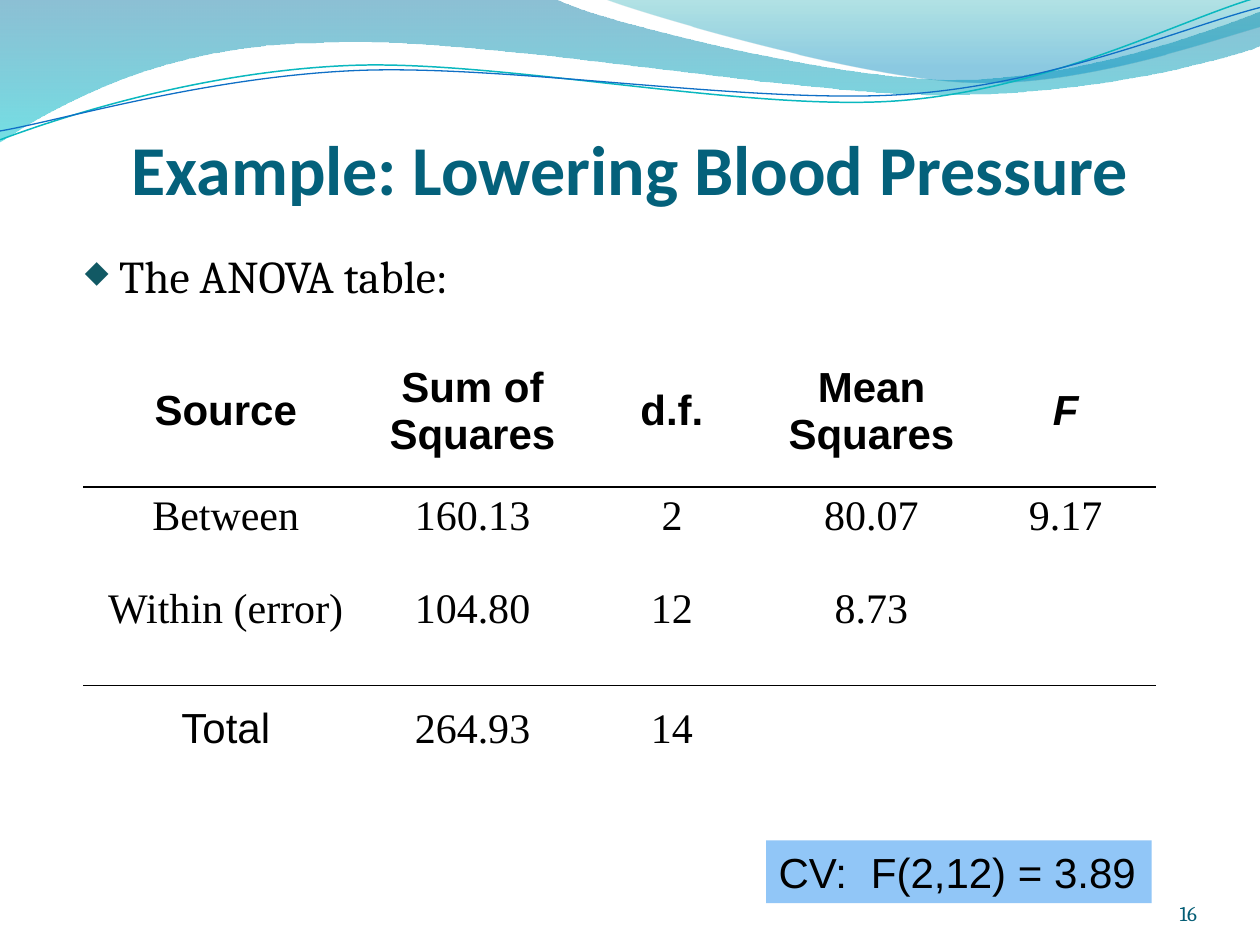
"""Build the ANOVA table slide for the blood pressure example."""
from dataclasses import dataclass
from math import cos, radians, sin

from lxml import etree
from pptx import Presentation
from pptx.dml.color import RGBColor as RGB
from pptx.enum.shapes import MSO_SHAPE as Preset
from pptx.enum.text import MSO_ANCHOR as Anchor, MSO_AUTO_SIZE as AutoSize, PP_ALIGN as Align
from pptx.oxml import parse_xml
from pptx.oxml.ns import nsdecls, qn
from pptx.util import Pt


@dataclass(frozen=True)
class Theme:
    title: str = "04617B"
    ink: str = "000000"
    paper: str = "FFFFFF"
    bullet: str = "115964"
    number: str = "045D75"
    callout: str = "91C6F7"
    title_size: int = 40
    body_size: int = 26
    table_size: int = 24
    number_size: int = 12
    heading_font: str = "Calibri"
    body_font: str = "Cambria"
    label_font: str = "Arial"
    value_font: str = "Times New Roman"


theme = Theme()


def style(paragraph, face, size, color, align=Align.LEFT, bold=False, italic=False):
    paragraph.alignment = align
    font = paragraph.font
    font.name, font.size, font.bold, font.italic = face, Pt(size), bold, italic
    font.color.rgb = RGB.from_string(color)


def draw_wave(shapes, start, segments, close):
    scaled = [[(Pt(x * 72), Pt(y * 72)) for x, y in segment] for segment in segments]
    builder = shapes.build_freeform(*(Pt(n * 72) for n in start), scale=1.0)
    builder.add_line_segments([segment[-1] for segment in scaled], close=close)
    wave = builder.convert_to_shape()
    for line, segment in zip(list(wave._element.iter(qn("a:lnTo"))), scaled):
        if len(segment) == 3:
            curve = etree.Element(qn("a:cubicBezTo"))
            for x, y in segment:
                etree.SubElement(curve, qn("a:pt"), x=str(x - wave.left), y=str(y - wave.top))
            line.getparent().replace(line, curve)
    wave.shadow.inherit = False
    wave.fill.background()
    return wave


deck = Presentation()
deck.slide_width, deck.slide_height = Pt(720), Pt(540)
slide = deck.slides.add_slide(deck.slide_layouts[5])
shapes = slide.shapes

bands = [
    ((0, -0.01), [[(4.4, -0.01)], [(4.76, 0.17), (6.64, 0.63), (7.58, 0.63)],
                  [(8.53, 0.63), (9.58, 0.26), (10, 0.09)], [(10.01, 0.36)],
                  [(9.83, 0.44), (8.7, 0.76), (7.46, 0.75)],
                  [(6.22, 0.75), (3.82, 0.28), (2.57, 0.34)],
                  [(1.29, 0.35), (0.46, 0.83), (-0.01, 1.13)]],
     [(0, "0074A1", 45), (100, "00C6CF", 55)]),
    ((4.79, -0.01), [[(5.09, 0.11), (6.82, 0.62), (7.69, 0.65)],
                     [(8.56, 0.69), (9.61, 0.32), (10, 0.21)], [(10, 0)]],
     [(0, "00A1A9", 30), (80, "008BBF", 45)]),
]
for start, segments, stops in bands:
    band = draw_wave(shapes, start, segments, True)
    band.line.fill.background()
    stop_xml = "".join(
        f'<a:gs pos="{at * 1000}"><a:srgbClr val="{color}"><a:alpha val="{alpha * 1000}"/>'
        f'</a:srgbClr></a:gs>' for at, color, alpha in stops)
    gradient = parse_xml(f'<a:gradFill {nsdecls("a")} rotWithShape="1"><a:gsLst>{stop_xml}</a:gsLst>'
                         '<a:lin ang="5400000" scaled="0"/></a:gradFill>')
    properties = band._element.spPr
    properties.replace(properties.find(qn("a:noFill")), gradient)

tilt = radians(2.7)
strands = [
    ([[(0, 1.11)], [(0.48, 0.93), (1.58, 0.57), (2.77, 0.52)],
      [(3.95, 0.47), (5.93, 0.89), (7.13, 0.8)],
      [(8.33, 0.71), (9.38, 0.15), (9.98, -0.02)]], (4.99, 0.58), "0AB8BF", 0.85),
    ([[(0, 1.04)], [(0.47, 0.96), (1.64, 0.61), (2.83, 0.56)],
      [(4.03, 0.51), (5.97, 0.83), (7.17, 0.75)],
      [(8.36, 0.67), (9.41, 0.21), (10, 0.06)]], (5, 0.59), "0F6FC6", 0.75),
]
for segments, (mid_x, mid_y), color, width in strands:
    level = [[(mid_x + (x - mid_x) * cos(tilt) - (y - mid_y) * sin(tilt),
               mid_y + (x - mid_x) * sin(tilt) + (y - mid_y) * cos(tilt))
              for x, y in segment] for segment in segments]
    strand = draw_wave(shapes, level[0][0], level[1:], False)
    strand.rotation = 357.3
    strand.line.color.rgb = RGB.from_string(color)
    strand.line.width = Pt(width)

title = shapes.title
title.left, title.top, title.width, title.height = Pt(36), Pt(55), Pt(648), Pt(64.8)
heading = title.text_frame
heading.text = "Example: Lowering Blood Pressure"
heading.word_wrap, heading.auto_size = True, AutoSize.NONE
heading.vertical_anchor = Anchor.BOTTOM
heading.margin_left = heading.margin_right = heading.margin_bottom = 0
heading.margin_top = Pt(3.6)
style(heading.paragraphs[0], theme.heading_font, theme.title_size, theme.title, Align.CENTER, True)

intro = shapes.add_textbox(Pt(36), Pt(138.2), Pt(648), Pt(360)).text_frame
intro.word_wrap = True
intro.text = "The ANOVA table:"
intro_line = intro.paragraphs[0]
style(intro_line, theme.body_font, theme.body_size, theme.ink)
intro_line.space_before = Pt(5.2)
bullet = intro_line._p.get_or_add_pPr()
bullet.set("marL", str(Pt(25)))
bullet.set("indent", str(Pt(-19.6)))
color_mark = etree.SubElement(bullet, qn("a:buClr"))
etree.SubElement(color_mark, qn("a:srgbClr"), val=theme.bullet)
etree.SubElement(bullet, qn("a:buSzPct"), val="68000")
etree.SubElement(bullet, qn("a:buChar"), char="◆")
bullet.append(bullet.find(qn("a:defRPr")))

page_number = shapes.add_textbox(Pt(624.2), Pt(500.4), Pt(59.8), Pt(28.8)).text_frame
page_number.word_wrap = True
page_number.vertical_anchor = Anchor.BOTTOM
page_number.margin_left = page_number.margin_right = 0
page_number.margin_top = page_number.margin_bottom = 0
page_number.text = "16"
style(page_number.paragraphs[0], theme.body_font, theme.number_size, theme.number, Align.RIGHT)

anova_rows = [
    ["Source", "Sum of Squares", "d.f.", "Mean\nSquares", "F"],
    ["Between\nWithin (error)", "160.13\n104.80", "2\n12", "80.07\n8.73", "9.17"],
    ["Total", "264.93", "14", "", ""],
]
column_widths = [162, 120, 108, 120, 102]
row_heights = [86.4, 113.5, 49.7]
anova = shapes.add_table(3, 5, Pt(48), Pt(191.8), Pt(sum(column_widths)), Pt(sum(row_heights))).table
anova.first_row = anova.horz_banding = False
for column, width in zip(anova.columns, column_widths):
    column.width = Pt(width)
for r, (entries, height) in enumerate(zip(anova_rows, row_heights)):
    anova.rows[r].height = Pt(height)
    for c, entry in enumerate(entries):
        cell = anova.cell(r, c)
        cell.text = entry
        cell.fill.solid()
        cell.fill.fore_color.rgb = RGB.from_string(theme.paper)
        cell.vertical_anchor = Anchor.TOP if r == 1 else Anchor.MIDDLE
        is_label = r == 0 or (r == 2 and c == 0)
        face = theme.label_font if is_label else theme.value_font
        for line, paragraph in enumerate(cell.text_frame.paragraphs):
            style(paragraph, face, theme.table_size, theme.ink, Align.CENTER, r == 0, entry == "F")
            if r == 1 and line:
                paragraph.space_before = Pt(26.5)
        edges = [("lnL", theme.paper), ("lnR", theme.paper),
                 ("lnT", theme.ink if r else theme.paper),
                 ("lnB", theme.ink if r < 2 else theme.paper)]
        for position, (edge, color) in enumerate(edges):
            cell._tc.get_or_add_tcPr().insert(position, parse_xml(
                f'<a:{edge} {nsdecls("a")} w="{Pt(1)}"><a:solidFill><a:srgbClr val="{color}"/>'
                f'</a:solidFill></a:{edge}>'))

critical_value = shapes.add_shape(Preset.RECTANGLE, Pt(437.8), Pt(480.2), Pt(220.3), Pt(36))
critical_value.shadow.inherit = False
critical_value.fill.solid()
critical_value.fill.fore_color.rgb = RGB.from_string(theme.callout)
critical_value.line.fill.background()
critical_text = critical_value.text_frame
critical_text.word_wrap, critical_text.auto_size = False, AutoSize.SHAPE_TO_FIT_TEXT
critical_text.vertical_anchor = Anchor.TOP
critical_text.text = "CV:\tF(2,12) = 3.89"
critical_line = critical_text.paragraphs[0]
style(critical_line, theme.label_font, theme.table_size, theme.ink)
tab_stops = parse_xml(f'<a:tabLst {nsdecls("a")}><a:tab pos="{Pt(52.8)}" algn="l"/></a:tabLst>')
critical_line._p.get_or_add_pPr().insert(0, tab_stops)

deck.save("out.pptx")
